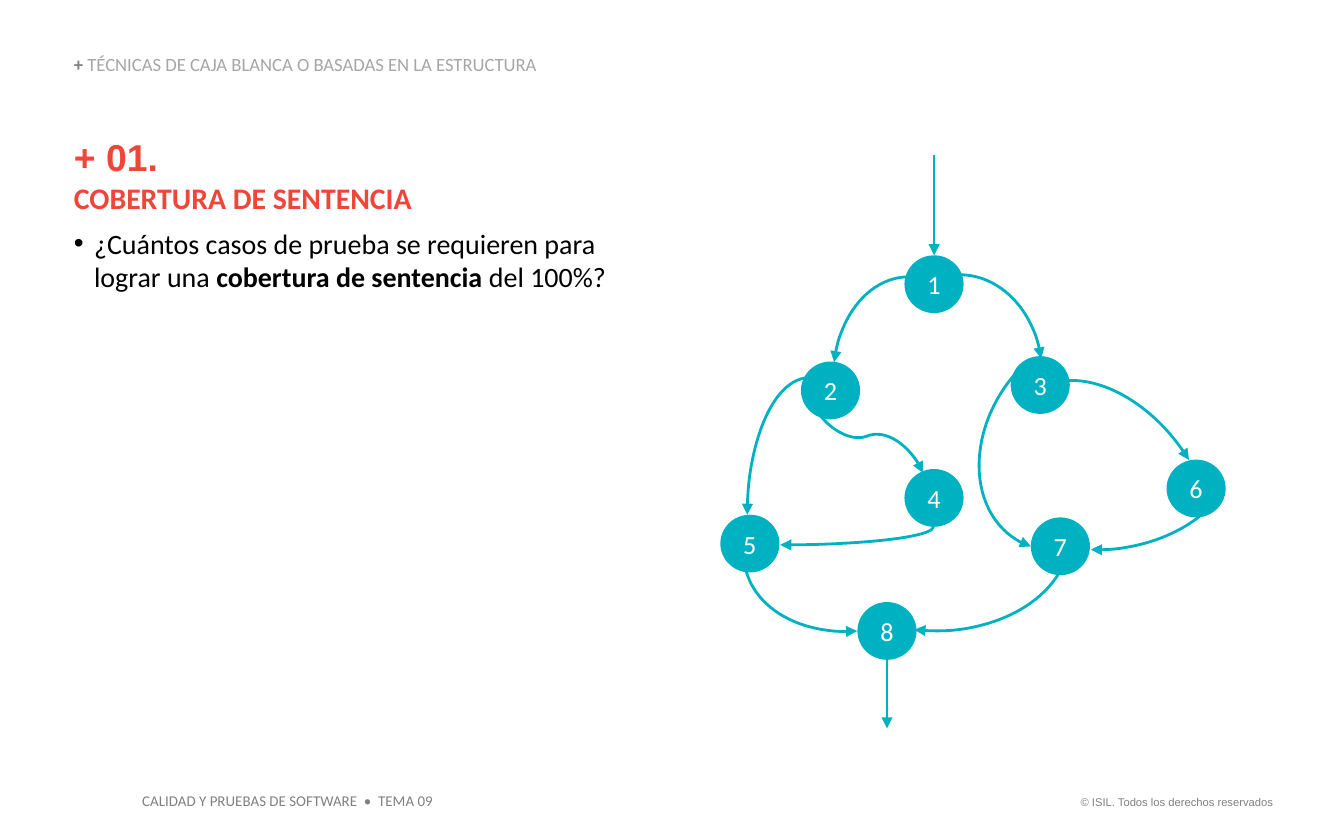
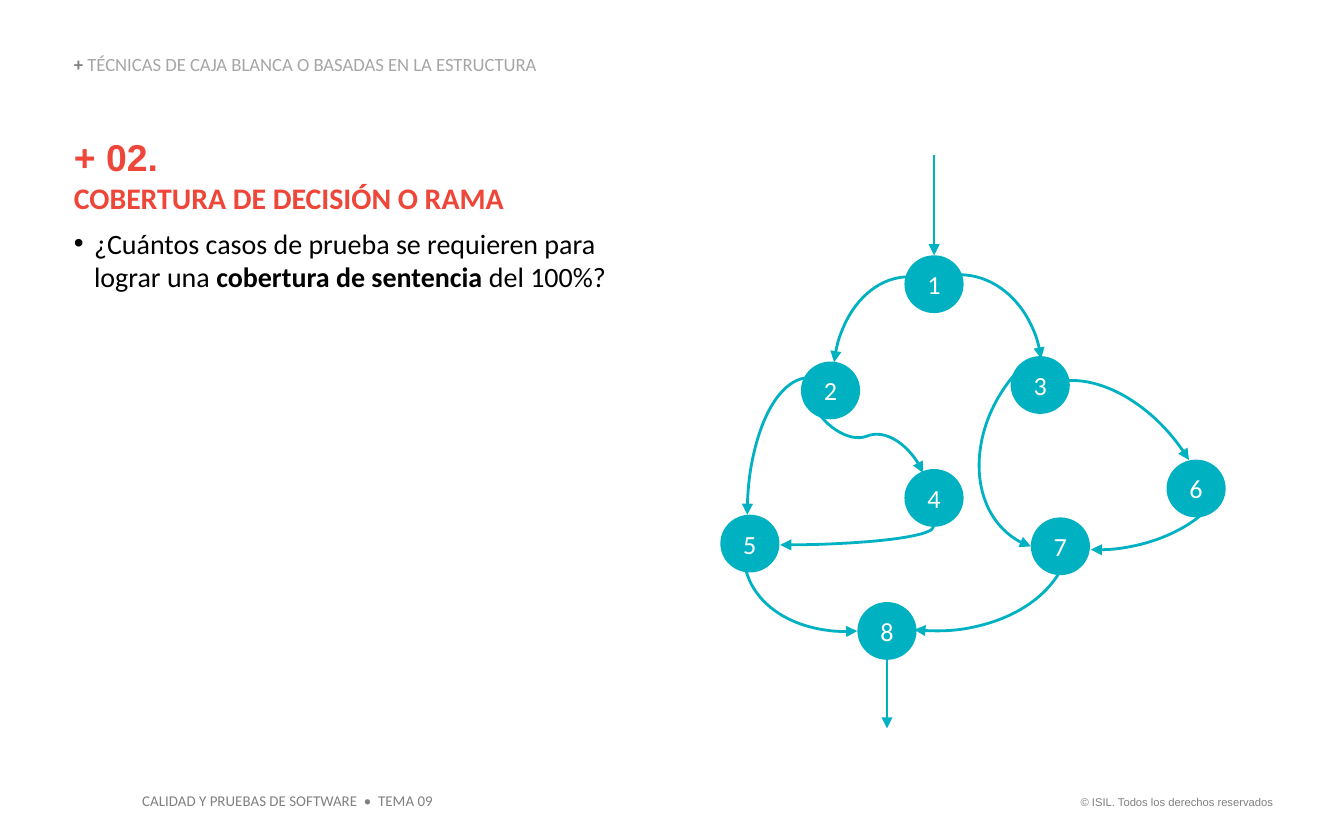
from dataclasses import dataclass

from pptx import Presentation
from pptx.dml.color import RGBColor
from pptx.enum.shapes import MSO_CONNECTOR, MSO_SHAPE, PP_PLACEHOLDER
from pptx.enum.text import MSO_ANCHOR, MSO_AUTO_SIZE, PP_ALIGN
from pptx.oxml.ns import qn
from pptx.oxml.xmlchemy import OxmlElement
from pptx.util import Pt

PX = 9144
TITLE_ONLY = 5
ARC, ELLIPSE = MSO_SHAPE.ARC, MSO_SHAPE.OVAL
STRAIGHT, CURVE = MSO_CONNECTOR.STRAIGHT, MSO_CONNECTOR.CURVE
TOP, MIDDLE, BOTTOM = MSO_ANCHOR.TOP, MSO_ANCHOR.MIDDLE, MSO_ANCHOR.BOTTOM
LEFT, CENTER, RIGHT = PP_ALIGN.LEFT, PP_ALIGN.CENTER, PP_ALIGN.RIGHT
GROW, FIXED = MSO_AUTO_SIZE.SHAPE_TO_FIT_TEXT, MSO_AUTO_SIZE.NONE

TEAL, RED, GRAY, SILVER = "00B1C2", "EE4639", "808080", "A6A6A6"
BLACK, WHITE = "000000", "FFFFFF"
NODE_W, NODE_H = 44, 43


@dataclass(frozen=True)
class Box:
    x: int
    y: int
    w: int
    h: int

    def emu(self) -> tuple[int, ...]:
        return tuple(v * PX for v in (self.x, self.y, self.w, self.h))


@dataclass(frozen=True)
class Arc:
    box: Box
    rotation: float
    end: str
    angles: tuple[float, ...] = ()
    flip: bool = False


@dataclass(frozen=True)
class Node:
    label: str
    x: int
    y: int


@dataclass(frozen=True)
class Arrow:
    kind: int
    x1: int
    y1: int
    x2: int
    y2: int
    rotation: float = 0
    target: str = ""


@dataclass(frozen=True)
class Topic:
    number: str
    name: str


ARCS = [
    Arc(Box(500, 337, 204, 92), 270, "head"),
    Arc(Box(601, 225, 150, 112), 270, "head", (169.05, 0)),
    Arc(Box(639, 218, 150, 123), 270, "head", (169.05, 0), True),
    Arc(Box(567, 278, 27, 228), 90, "tail"),
    Arc(Box(610, 282, 157, 217), 96, "tail", (170.46, 0)),
    Arc(Box(758, 274, 135, 202), 326.2, "tail", (170.46, 2.88)),
    Arc(Box(552, 334, 182, 134), 165.4, "head", (173.35, 0)),
    Arc(Box(783, 276, 99, 164), 78.8, "tail", (179.91, 20.05)),
    Arc(Box(735, 240, 136, 175), 213.6, "head", (156.53, 10.45)),
]
NODES = [
    Node("1", 673, 190), Node("2", 596, 269), Node("3", 752, 265), Node("4", 673, 349),
    Node("5", 536, 383), Node("6", 868, 342), Node("7", 767, 385), Node("8", 638, 448),
]
ARROWS = [
    Arrow(STRAIGHT, 695, 115, 695, 190, target="1"),
    Arrow(STRAIGHT, 660, 489, 660, 542),
    Arrow(CURVE, 604, 353, 686, 296, rotation=68),
]
TOPICS = [
    Topic("+ 01.", "COBERTURA DE SENTENCIA"),
    Topic("+ 02.", "COBERTURA DE DECISIÓN O RAMA"),
]


def rgb(color: str) -> RGBColor:
    return RGBColor.from_string(color)


def add_run(p, text: str, *, size: float, color: str, font: str = "Calibri",
            bold: bool = False) -> None:
    r = p.add_run()
    r.text = text
    r.font.size = Pt(size)
    r.font.name = font
    r.font.bold = bold
    r.font.color.rgb = rgb(color)


def format_frame(tf, *, anchor=TOP, align=LEFT, inset: bool = False,
                 wrap: bool = True, fit=GROW):
    tf.word_wrap = wrap
    tf.auto_size = fit
    tf.vertical_anchor = anchor
    if not inset:
        tf.margin_left = tf.margin_top = tf.margin_right = tf.margin_bottom = 0
    p = tf.paragraphs[0]
    p.alignment = align
    return p


def add_bullet(p, indent: int) -> None:
    pPr = p._p.get_or_add_pPr()
    pPr.set("marL", str(indent * PX))
    pPr.set("indent", str(-indent * PX))
    buClr = OxmlElement("a:buClr")
    clr = OxmlElement("a:srgbClr")
    clr.set("val", BLACK)
    buClr.append(clr)
    buFont = OxmlElement("a:buFont")
    buFont.set("typeface", "Arial")
    buChar = OxmlElement("a:buChar")
    buChar.set("char", "•")
    for el in (buClr, buFont, buChar):
        pPr.append(el)


def format_line(s, end: str) -> None:
    s.line.color.rgb = rgb(TEAL)
    s.line.width = Pt(1.5)
    el = OxmlElement(f"a:{end}End")
    el.set("type", "triangle")
    s.element.spPr.find(qn("a:ln")).append(el)


def add_arc(shapes, arc: Arc) -> None:
    s = shapes.add_shape(ARC, *arc.box.emu())
    s.shadow.inherit = False
    s.fill.background()
    s.rotation = arc.rotation
    for i, angle in enumerate(arc.angles):
        s.adjustments[i] = angle
    if arc.flip:
        s.element.spPr.find(qn("a:xfrm")).set("flipV", "1")
    format_line(s, arc.end)


def add_node(shapes, node: Node):
    s = shapes.add_shape(ELLIPSE, *Box(node.x, node.y, NODE_W, NODE_H).emu())
    s.shadow.inherit = False
    s.fill.solid()
    s.fill.fore_color.rgb = rgb(TEAL)
    s.line.fill.background()
    p = format_frame(s.text_frame, anchor=MIDDLE, align=CENTER, fit=FIXED)
    add_run(p, node.label, size=14, color=WHITE)
    return s


def add_arrow(shapes, arrow: Arrow, nodes: dict) -> None:
    points = (v * PX for v in (arrow.x1, arrow.y1, arrow.x2, arrow.y2))
    s = shapes.add_connector(arrow.kind, *points)
    s.rotation = arrow.rotation
    format_line(s, "tail")
    s.element.spPr.append(OxmlElement("a:effectLst"))
    if arrow.target:
        s.end_connect(nodes[arrow.target], 0)


def add_graph(slide) -> None:
    shapes = slide.shapes.add_group_shape().shapes
    for arc in ARCS:
        add_arc(shapes, arc)
    nodes = {node.label: add_node(shapes, node) for node in NODES}
    for arrow in ARROWS:
        add_arrow(shapes, arrow, nodes)


def add_footers(slide, layout) -> None:
    for sp in list(layout.placeholders):
        if sp.placeholder_format.type != PP_PLACEHOLDER.TITLE:
            sp.element.getparent().remove(sp.element)
    legal = slide.shapes.add_textbox(*Box(788, 587, 169, 20).emu())
    p = format_frame(legal.text_frame, align=RIGHT, inset=True, wrap=False)
    add_run(p, "© ISIL. Todos los derechos reservados", size=6, color=GRAY, font="Arial")
    course = slide.shapes.add_textbox(*Box(96, 584, 237, 24).emu())
    p = format_frame(course.text_frame, inset=True, wrap=False)
    add_run(p, "CALIDAD Y PRUEBAS DE SOFTWARE  •  TEMA 09", size=8, color=GRAY)
    for s in (legal, course):
        layout.shapes.element.append(s.element)


def format_title(slide) -> None:
    s = slide.shapes.title
    s.left, s.top, s.width, s.height = Box(55, 41, 361, 15).emu()
    p = format_frame(s.text_frame, anchor=BOTTOM)
    p.line_spacing = 0.9
    p.space_before = Pt(0)
    add_run(p, "+ ", size=10, color=GRAY, bold=True)
    add_run(p, "TÉCNICAS DE CAJA BLANCA O BASADAS EN LA ESTRUCTURA", size=10, color=SILVER)


def add_topic(slide, topic: Topic) -> None:
    tf = slide.shapes.add_textbox(*Box(55, 100, 425, 119).emu()).text_frame
    p = format_frame(tf)
    p.space_after = Pt(6)
    add_run(p, topic.number, size=20, color=RED, font="Arial", bold=True)
    p.add_line_break()
    add_run(p, topic.name, size=16, color=RED, bold=True)
    p = tf.add_paragraph()
    add_bullet(p, 15)
    add_run(p, "¿Cuántos casos de prueba se requieren para lograr una ", size=15, color=BLACK)
    add_run(p, "cobertura de sentencia ", size=15, color=BLACK, bold=True)
    add_run(p, "del 100%?", size=15, color=BLACK)


def main() -> None:
    prs = Presentation()
    prs.slide_width, prs.slide_height = 1000 * PX, 625 * PX
    layout = prs.slide_layouts[TITLE_ONLY]
    slides = [prs.slides.add_slide(layout) for _ in TOPICS]
    add_footers(slides[0], layout)
    for slide, topic in zip(slides, TOPICS):
        format_title(slide)
        add_topic(slide, topic)
        add_graph(slide)
    prs.save("out.pptx")


if __name__ == "__main__":
    main()
